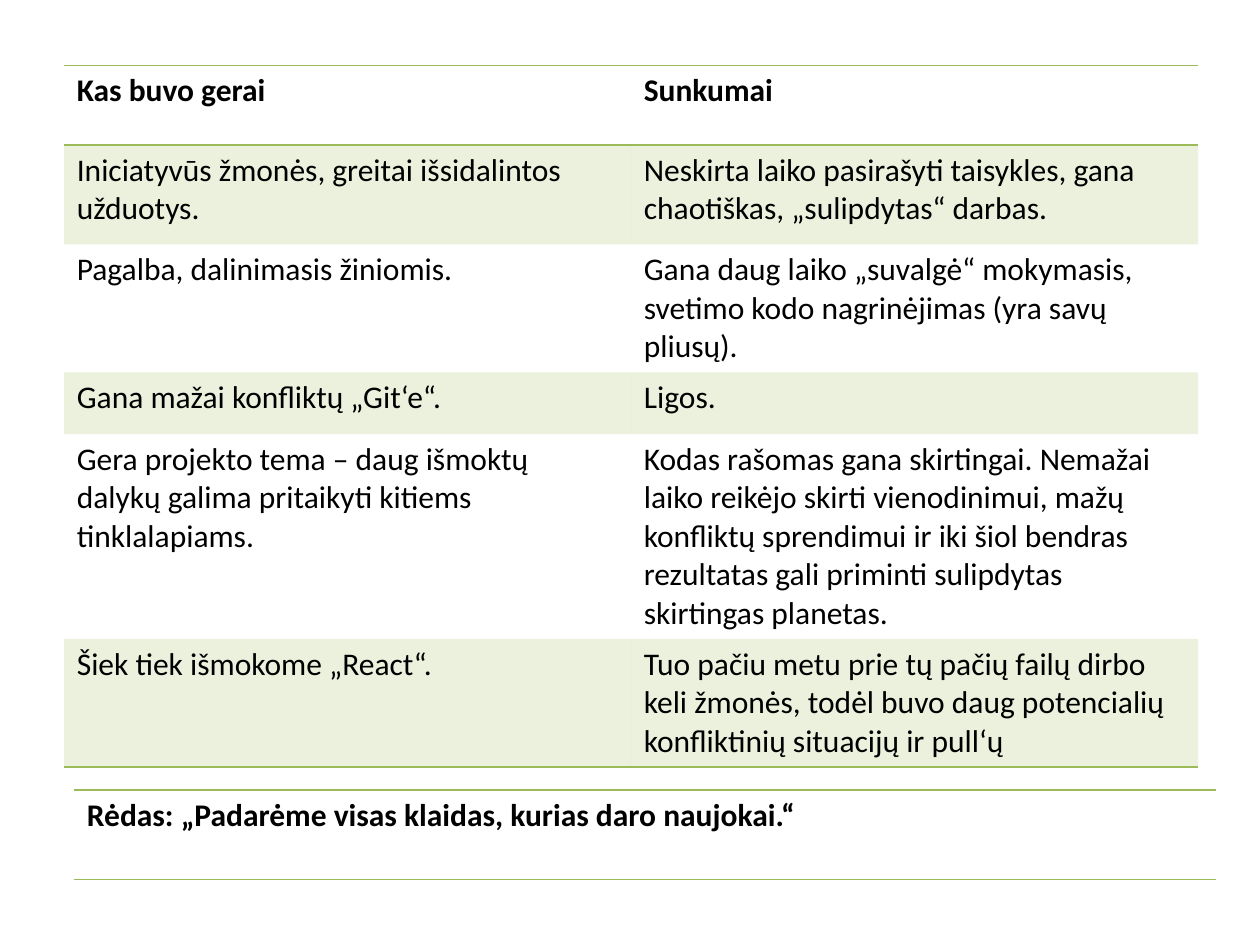
from lxml.etree import SubElement
from pptx import Presentation
from pptx.dml.color import RGBColor
from pptx.oxml.ns import qn
from pptx.util import Inches, Pt

GREEN = RGBColor(0x9B, 0xBB, 0x59)
BLACK = RGBColor(0x00, 0x00, 0x00)
FONT = "Calibri"
BAND_OPACITY = 20  # percent
PLAIN_TABLE_STYLE = "{2D5ABB26-0587-4C30-8999-92F81FD0307C}"

REVIEW_ROWS = [
    ("Kas buvo gerai", "Sunkumai"),
    ("Iniciatyvūs žmonės, greitai išsidalintos užduotys.",
     "Neskirta laiko pasirašyti taisykles, gana chaotiškas, „sulipdytas“ darbas."),
    ("Pagalba, dalinimasis žiniomis.",
     "Gana daug laiko „suvalgė“ mokymasis, svetimo kodo nagrinėjimas (yra savų pliusų)."),
    ("Gana mažai konfliktų „Git‘e“.", "Ligos."),
    ("Gera projekto tema – daug išmoktų dalykų galima pritaikyti kitiems tinklalapiams.",
     "Kodas rašomas gana skirtingai. Nemažai laiko reikėjo skirti vienodinimui, "
     "mažų konfliktų sprendimui ir iki šiol bendras rezultatas gali priminti "
     "sulipdytas skirtingas planetas."),
    ("Šiek tiek išmokome „React“.",
     "Tuo pačiu metu prie tų pačių failų dirbo keli žmonės, todėl buvo daug "
     "potencialių konfliktinių situacijų ir pull‘ų"),
]
REVIEW_HEIGHTS = [0.63, 0.79, 0.95, 0.49, 0.95, 0.95]
QUOTE_ROWS = [("Rėdas: „Padarėme visas klaidas, kurias daro naujokai.“",)]


def add_border(cell, side):
    """Draw a thin green line on one side (lnT or lnB) of a cell."""
    line = SubElement(cell._tc.get_or_add_tcPr(), qn(f"a:{side}"), w=str(Pt(1)))
    fill = SubElement(line, qn("a:solidFill"))
    SubElement(fill, qn("a:srgbClr"), val=str(GREEN))


def fill_band(cell):
    """Give a cell the translucent green band."""
    cell.fill.solid()
    cell.fill.fore_color.rgb = GREEN
    color = cell._tc.tcPr.find(f".//{qn('a:solidFill')}[last()]")
    color = cell._tc.tcPr.find(qn("a:solidFill")).find(qn("a:srgbClr"))
    SubElement(color, qn("a:alpha"), val=str(BAND_OPACITY * 1000))


def write_cell(cell, text, bold):
    run = cell.text_frame.paragraphs[0].add_run()
    run.text = text
    run.font.name = FONT
    run.font.size = Pt(18)
    run.font.bold = bold
    run.font.color.rgb = BLACK


def add_ruled_table(slide, left, top, column_width, heights, rows):
    """Add a table with a bold, ruled header row and banded body rows."""
    columns = len(rows[0])
    shape = slide.shapes.add_table(
        len(rows), columns, Inches(left), Inches(top),
        Inches(column_width * columns), Inches(sum(heights)))
    table = shape.table
    table._tbl.tblPr.find(qn("a:tableStyleId")).text = PLAIN_TABLE_STYLE
    table.horz_banding = False
    for column in table.columns:
        column.width = Inches(column_width)

    for index, (texts, height) in enumerate(zip(rows, heights)):
        is_header = index == 0
        table.rows[index].height = Inches(height)
        for cell, text in zip(table.rows[index].cells, texts):
            write_cell(cell, text, bold=is_header)
            if is_header:
                add_border(cell, "lnT")
            if is_header or index == len(rows) - 1:
                add_border(cell, "lnB")
            if index % 2:
                fill_band(cell)
            else:
                cell.fill.background()


def main():
    presentation = Presentation()
    presentation.slide_width = Inches(10)
    presentation.slide_height = Inches(7.5)
    slide = presentation.slides.add_slide(presentation.slide_layouts[6])

    # What went well and what was hard
    add_ruled_table(slide, 0.51, 0.52, 4.5, REVIEW_HEIGHTS, REVIEW_ROWS)
    # Closing quote
    add_ruled_table(slide, 0.59, 6.27, 9.06, [0.71], QUOTE_ROWS)

    presentation.save("out.pptx")


if __name__ == "__main__":
    main()
